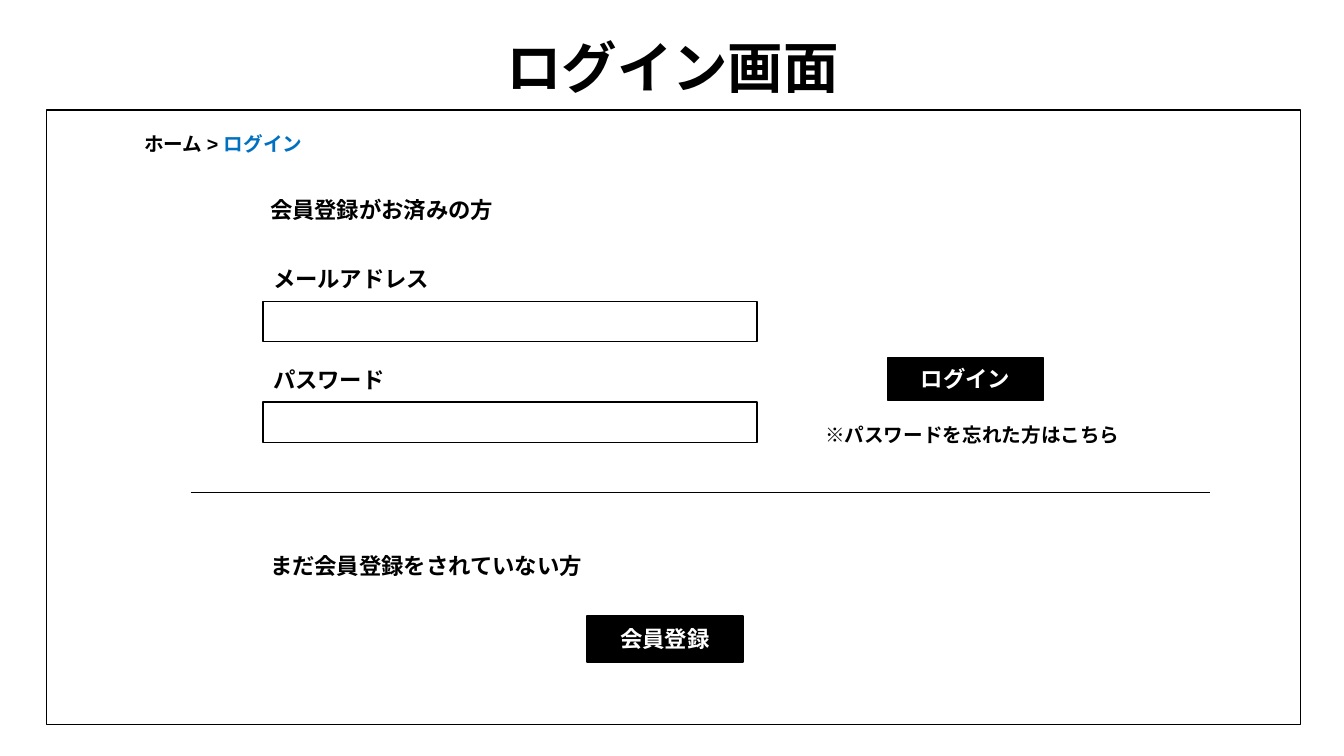
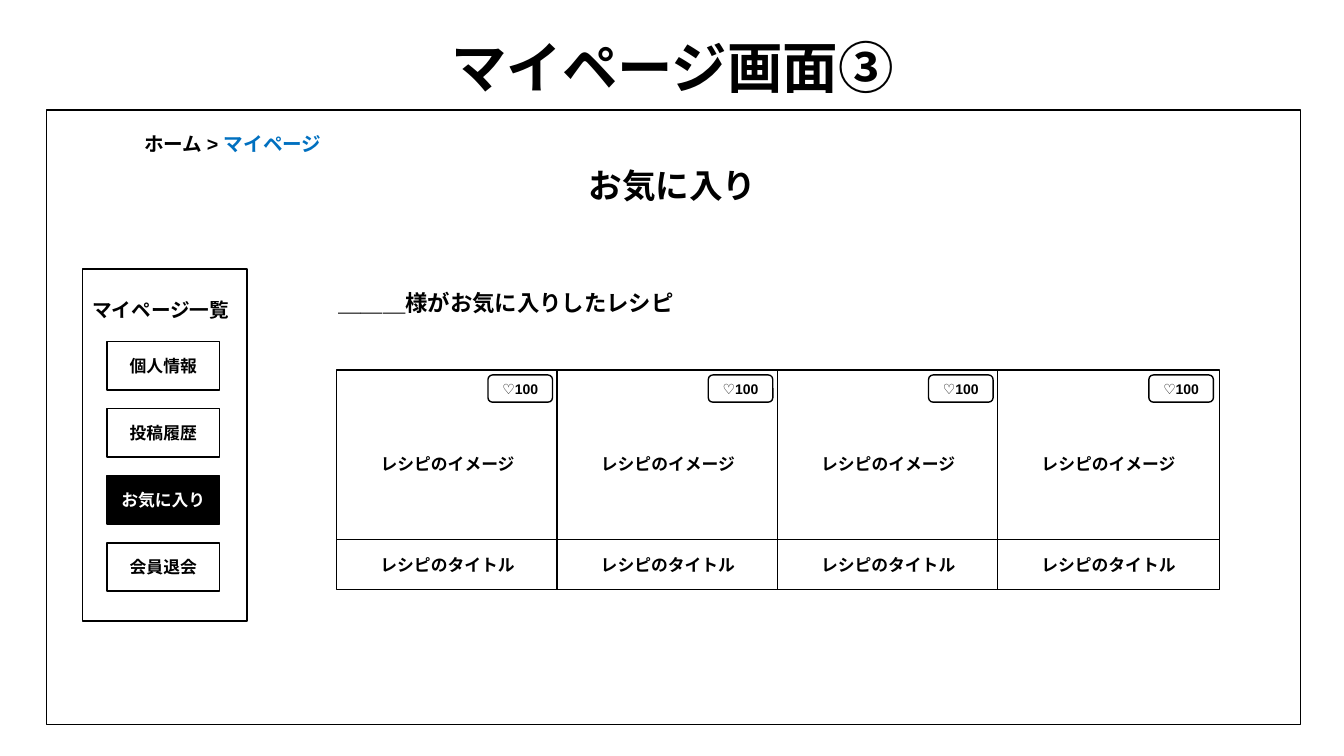
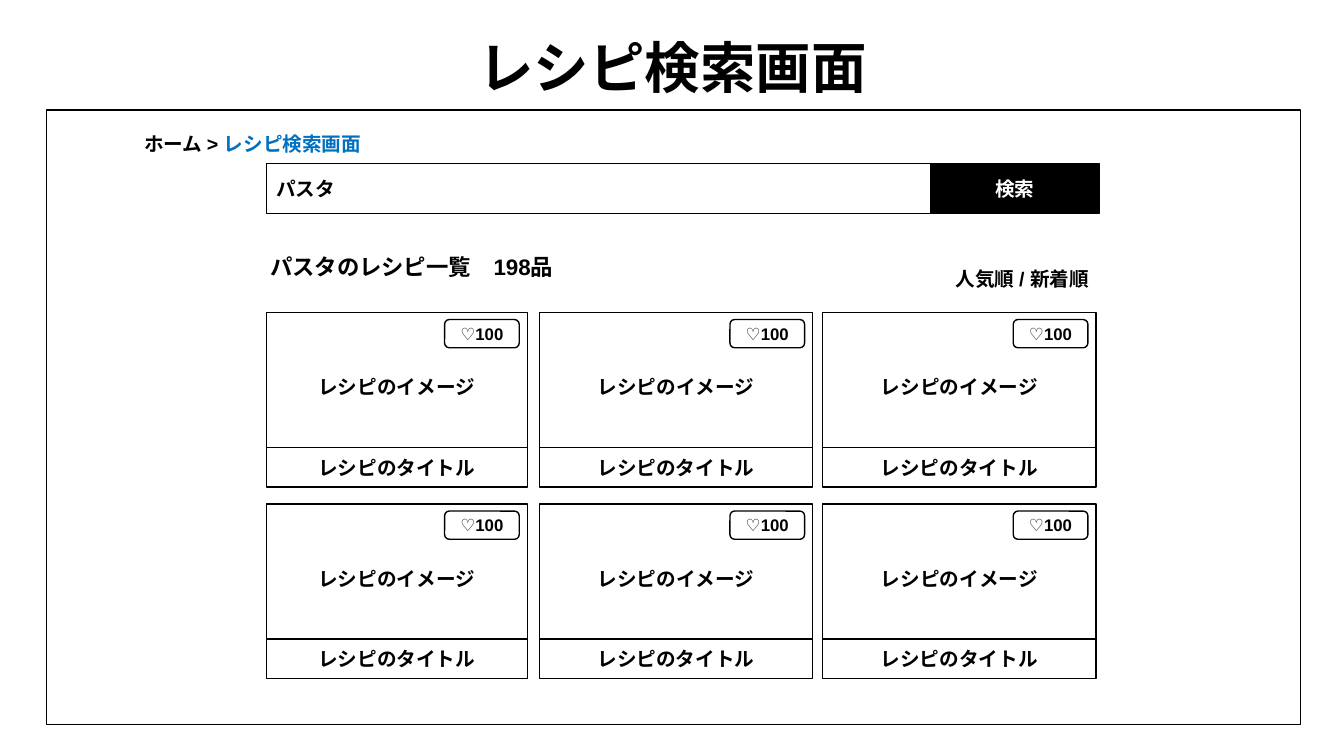
"""Build three wireframe slides for a recipe site: login, favourites and search."""
import pptx
import pptx.dml.color
import pptx.enum.dml
import pptx.enum.lang
import pptx.enum.shapes
import pptx.enum.text
import pptx.oxml
import pptx.oxml.ns
import pptx.util

Inches = pptx.util.Inches
Pt = pptx.util.Pt
SHAPE = pptx.enum.shapes.MSO_SHAPE
ALIGN = pptx.enum.text.PP_ALIGN
ANCHOR = pptx.enum.text.MSO_ANCHOR

FONT = "Arial"
COLORS = {"ink": "000000", "paper": "FFFFFF", "current": "0070C0"}
HOME = "ホーム > "
CARD_IMAGE = "レシピのイメージ"
CARD_TITLE = "レシピのタイトル"
LIKES = "♡100"

LOGIN = {
    "title": "ログイン画面",
    "crumb": "ログイン",
    "headings": [("会員登録がお済みの方", 1.9), ("まだ会員登録をされていない方", 5.43)],
    "fields": ["メールアドレス", "パスワード"],
    "buttons": [("ログイン", (8.8, 3.55, 1.55, 0.42)),
                ("会員登録", (5.82, 6.11, 1.55, 0.46))],
    "forgot": "※パスワードを忘れた方はこちら",
}
FAVOURITES = {
    "title": "マイページ画面③",
    "crumb": "マイページ",
    "heading": "お気に入り",
    "menu_title": "マイページ一覧",
    "menu": ["個人情報", "投稿履歴", "お気に入り", "会員退会"],
    "owner": "＿＿＿様がお気に入りしたレシピ",
    "cards": 4,
}
SEARCH = {
    "title": "レシピ検索画面",
    "crumb": "レシピ検索画面",
    "query": "パスタ",
    "button": "検索",
    "count": "パスタのレシピ一覧　198品",
    "sort": "人気順 / 新着順",
    "columns": [(2.64, 2.59), (5.35, 2.71), (8.16, 2.71)],
    "rows": 2,
}
FAVOURITE_CARD = {"image": 1.87, "title_top": 1.68, "title": 0.5, "size": 12,
                  "badge": (0.64, 0.27), "inset": (0.06, 0.05), "badge_size": 10}
SEARCH_CARD = {"image": 1.48, "title_top": 1.34, "title": 0.39, "size": 14,
               "badge": (0.74, 0.28), "inset": (0.08, 0.07), "badge_size": 12}


def rgb(name):
    return pptx.dml.color.RGBColor.from_string(COLORS[name])


def write(sp, runs, size, align=ALIGN.LEFT):
    tf = sp.text_frame
    tf.word_wrap = True
    p = tf.paragraphs[0]
    p.alignment = align
    for text, color in runs:
        r = p.add_run()
        r.text = text
        r.font.name = FONT
        r.font.size = Pt(size)
        r.font.bold = True
        r.font.color.rgb = rgb(color)
        r.font.language_id = pptx.enum.lang.MSO_LANGUAGE_ID.JAPANESE
    return p


def label(s, at, text, size, align=ALIGN.LEFT):
    sp = s.shapes.add_textbox(*map(Inches, at))
    runs = [(text, "ink")] if isinstance(text, str) else text
    write(sp, runs, size, align)
    sp.text_frame.auto_size = pptx.enum.text.MSO_AUTO_SIZE.SHAPE_TO_FIT_TEXT


def box(s, at, text="", size=16, dark=False, align=ALIGN.CENTER,
        line="ink", kind=SHAPE.RECTANGLE):
    sp = s.shapes.add_shape(kind, *map(Inches, at))
    sp.shadow.inherit = False
    sp.fill.solid()
    sp.fill.fore_color.rgb = rgb("ink" if dark else "paper")
    sp.line.color.rgb = rgb(line)
    sp.line.width = Pt(1)
    if text:
        sp.text_frame.vertical_anchor = ANCHOR.MIDDLE
        write(sp, [(text, "paper" if dark else "ink")], size, align)


def card(s, left, top, width, style):
    box(s, (left, top, width, style["image"]), CARD_IMAGE, style["size"])
    box(s, (left, top + style["title_top"], width, style["title"]),
        CARD_TITLE, style["size"])
    badge_w, badge_h = style["badge"]
    dx, dy = style["inset"]
    box(s, (left + width - badge_w - dx, top + dy, badge_w, badge_h),
        LIKES, style["badge_size"], kind=SHAPE.ROUNDED_RECTANGLE)


def screen(prs, content):
    s = prs.slides.add_slide(prs.slide_layouts[6])
    box(s, (0.46, 1.09, 12.44, 6.1))
    sp = s.shapes.add_textbox(*map(Inches, (0.92, 0.4, 11.5, 0.6)))
    sp.text_frame.vertical_anchor = ANCHOR.MIDDLE
    p = write(sp, [(content["title"], "ink")], 39.6, ALIGN.CENTER)
    p.line_spacing = 0.9
    label(s, (1.33, 1.26, 6.22, 0.34),
          [(HOME, "ink"), (content["crumb"], "current")], 14)
    return s


def divider(s, left, right, y):
    sp = s.shapes.add_connector(pptx.enum.shapes.MSO_CONNECTOR.STRAIGHT,
                                *map(Inches, (left, y, right, y)))
    sp.line.color.rgb = rgb("ink")
    sp.line.width = Pt(0.75)
    effects = pptx.oxml.parse_xml(
        "<a:effectLst %s/>" % pptx.oxml.ns.nsdecls("a"))
    sp._element.spPr.append(effects)


def login(prs):
    s = screen(prs, LOGIN)
    for text, top in LOGIN["headings"]:
        label(s, (2.58, top, 6.3, 0.37), text, 16)
    for i, text in enumerate(LOGIN["fields"]):
        top = 2.58 + i
        label(s, (2.61, top, 2.06, 0.37), text, 16)
        box(s, (2.61, top + 0.41, 4.9, 0.4))
    for text, at in LOGIN["buttons"]:
        box(s, at, text, dark=True)
    label(s, (8.04, 4.15, 3.21, 0.34), LOGIN["forgot"], 14, ALIGN.CENTER)
    divider(s, 1.89, 12, 4.89)


def favourites(prs):
    s = screen(prs, FAVOURITES)
    label(s, (4.09, 1.59, 5.16, 0.5), FAVOURITES["heading"], 24, ALIGN.CENTER)
    box(s, (0.82, 2.67, 1.63, 3.49))
    label(s, (0.78, 2.91, 1.63, 0.34), FAVOURITES["menu_title"], 14, ALIGN.CENTER)
    for i, text in enumerate(FAVOURITES["menu"]):
        box(s, (1.06, 3.39 + 0.665 * i, 1.12, 0.48), text, 12,
            dark=text == FAVOURITES["heading"])
    box(s, (3.26, 2.74, 4.72, 0.52), FAVOURITES["owner"],
        align=ALIGN.LEFT, line="paper")
    for i in range(FAVOURITES["cards"]):
        card(s, 3.34 + 2.185 * i, 3.67, 2.2, FAVOURITE_CARD)


def search(prs):
    s = screen(prs, SEARCH)
    box(s, (2.64, 1.62, 6.59, 0.5), SEARCH["query"], 14, align=ALIGN.LEFT)
    box(s, (9.23, 1.62, 1.67, 0.5), SEARCH["button"], 14, dark=True)
    label(s, (2.58, 2.46, 4.05, 0.37), SEARCH["count"], 16)
    label(s, (8.06, 2.6, 2.84, 0.34), SEARCH["sort"], 14, ALIGN.RIGHT)
    for row in range(SEARCH["rows"]):
        for left, width in SEARCH["columns"]:
            card(s, left, 3.1 + 1.9 * row, width, SEARCH_CARD)


prs = pptx.Presentation()
prs.slide_width = Inches(13.33)
prs.slide_height = Inches(7.5)
for build in (login, favourites, search):
    build(prs)
prs.save("out.pptx")
